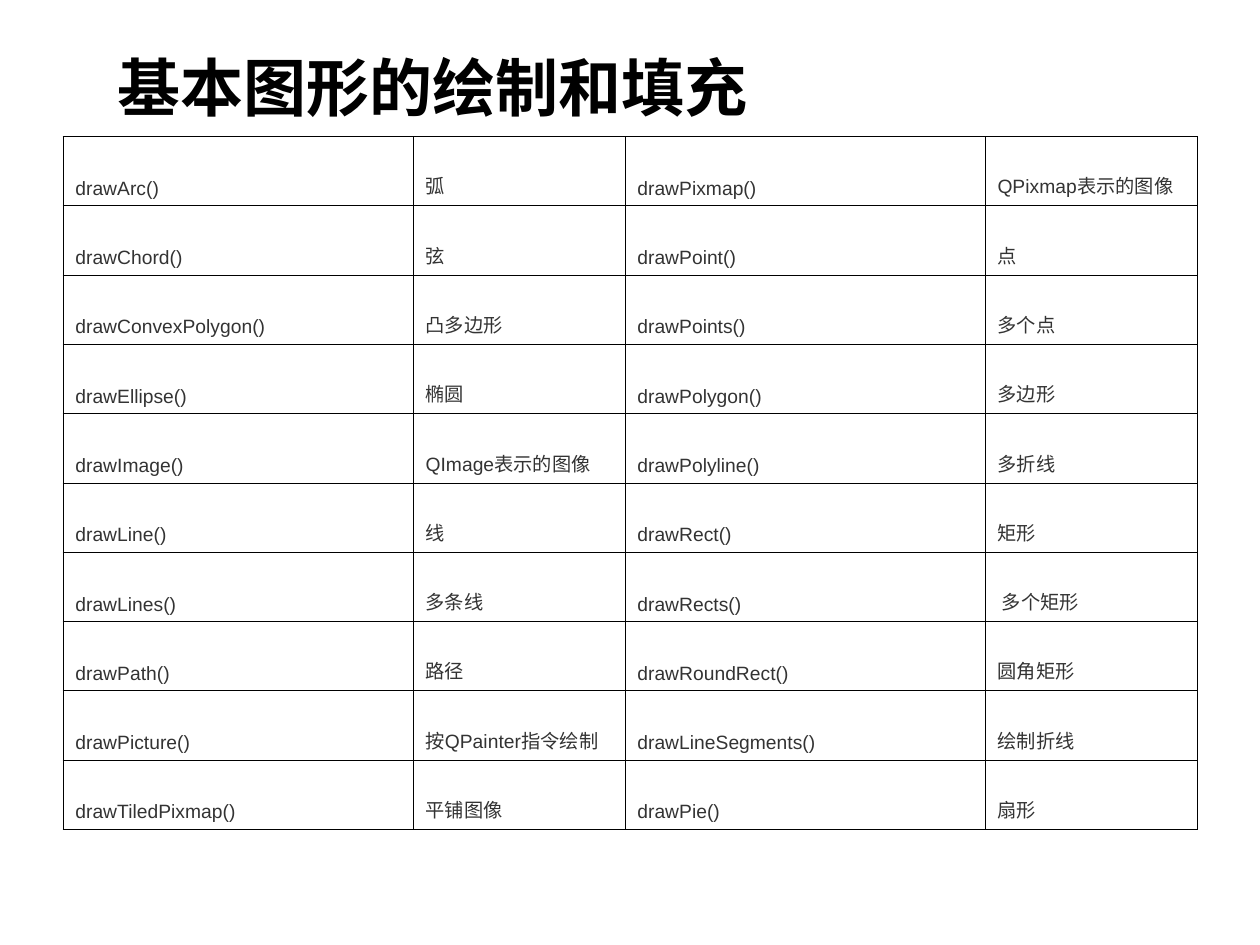
import itertools

import pptx
import pptx.dml.color
import pptx.enum.text
import pptx.oxml
import pptx.oxml.ns
import pptx.util
from pptx.util import Cm

COLORS = {"title": "000000", "text": "333333", "border": "000000"}
LATIN_FONT = "Arial"
CHINESE_FONT = "Noto Sans CJK SC"

COLUMN_WIDTHS = [7.06, 4.27, 7.26, 4.27]
TABLE_HEIGHT = 13.97
BORDER_WIDTH = pptx.util.Pt(0.45)
HANGING_INDENT = Cm(0.97)

DRAWING_FUNCTIONS = [
    ("drawArc()", "弧", "drawPixmap()", "QPixmap表示的图像"),
    ("drawChord()", "弦", "drawPoint()", "点"),
    ("drawConvexPolygon()", "凸多边形", "drawPoints()", "多个点"),
    ("drawEllipse()", "椭圆", "drawPolygon()", "多边形"),
    ("drawImage()", "QImage表示的图像", "drawPolyline()", "多折线"),
    ("drawLine()", "线", "drawRect()", "矩形"),
    ("drawLines()", "多条线", "drawRects()", " 多个矩形"),
    ("drawPath()", "路径", "drawRoundRect()", "圆角矩形"),
    ("drawPicture()", "按QPainter指令绘制", "drawLineSegments()", "绘制折线"),
    ("drawTiledPixmap()", "平铺图像", "drawPie()", "扇形"),
]


def add_run(paragraph, text, font_name, size, color, bold=False):
    run = paragraph.add_run()
    run.text = text
    run.font.name = font_name
    run.font.size = pptx.util.Pt(size)
    run.font.bold = bold
    run.font.color.rgb = pptx.dml.color.RGBColor.from_string(COLORS[color])
    # East Asian typeface, placed right after the Latin one
    east_asian = pptx.oxml.parse_xml(
        f'<a:ea {pptx.oxml.ns.nsdecls("a")} typeface="{CHINESE_FONT}"/>')
    run.font._element.find(pptx.oxml.ns.qn("a:latin")).addnext(east_asian)


def add_mixed_text(paragraph, text, size, color):
    """Add one run for each stretch of Latin or Chinese characters."""
    for is_latin, characters in itertools.groupby(text, str.isascii):
        font_name = LATIN_FONT if is_latin else CHINESE_FONT
        add_run(paragraph, "".join(characters), font_name, size, color)


def add_title(slide, text):
    shape = slide.shapes.add_textbox(Cm(2.11), Cm(0.76), Cm(22.86), Cm(1.98))
    frame = shape.text_frame
    frame.word_wrap = True
    frame.vertical_anchor = pptx.enum.text.MSO_ANCHOR.MIDDLE
    add_run(frame.paragraphs[0], text, LATIN_FONT, 36, "title", bold=True)


def set_borders(cell):
    properties = cell._tc.get_or_add_tcPr()
    for side in ("lnL", "lnR", "lnT", "lnB"):
        properties.append(pptx.oxml.parse_xml(
            f'<a:{side} {pptx.oxml.ns.nsdecls("a")} w="{BORDER_WIDTH}">'
            f'<a:solidFill><a:srgbClr val="{COLORS["border"]}"/></a:solidFill>'
            f'</a:{side}>'))


def fill_cell(cell, text):
    set_borders(cell)
    cell.fill.background()
    cell.vertical_anchor = pptx.enum.text.MSO_ANCHOR.BOTTOM
    cell.margin_left = cell.margin_right = Cm(0.25)
    cell.margin_top = cell.margin_bottom = Cm(0.13)
    paragraph = cell.text_frame.paragraphs[0]
    paragraph_properties = paragraph._p.get_or_add_pPr()
    paragraph_properties.set("marL", str(HANGING_INDENT))
    paragraph_properties.set("indent", str(-HANGING_INDENT))
    add_mixed_text(paragraph, text, 11, "text")


def add_function_table(slide, rows):
    table = slide.shapes.add_table(
        len(rows), len(COLUMN_WIDTHS), Cm(1.27), Cm(2.75),
        Cm(sum(COLUMN_WIDTHS)), Cm(TABLE_HEIGHT)).table
    table.first_row = False
    table.horz_banding = False
    for column, width in zip(table.columns, COLUMN_WIDTHS):
        column.width = Cm(width)
    for table_row, texts in zip(table.rows, rows):
        table_row.height = Cm(TABLE_HEIGHT / len(rows))
        for cell, text in zip(table_row.cells, texts):
            fill_cell(cell, text)


def main():
    presentation = pptx.Presentation()
    presentation.slide_width = Cm(25.4)
    presentation.slide_height = Cm(19.05)
    slide = presentation.slides.add_slide(presentation.slide_layouts[6])

    # Heading
    add_title(slide, "基本图形的绘制和填充")

    # Drawing functions and what each one draws
    add_function_table(slide, DRAWING_FUNCTIONS)

    presentation.save("out.pptx")


if __name__ == "__main__":
    main()
